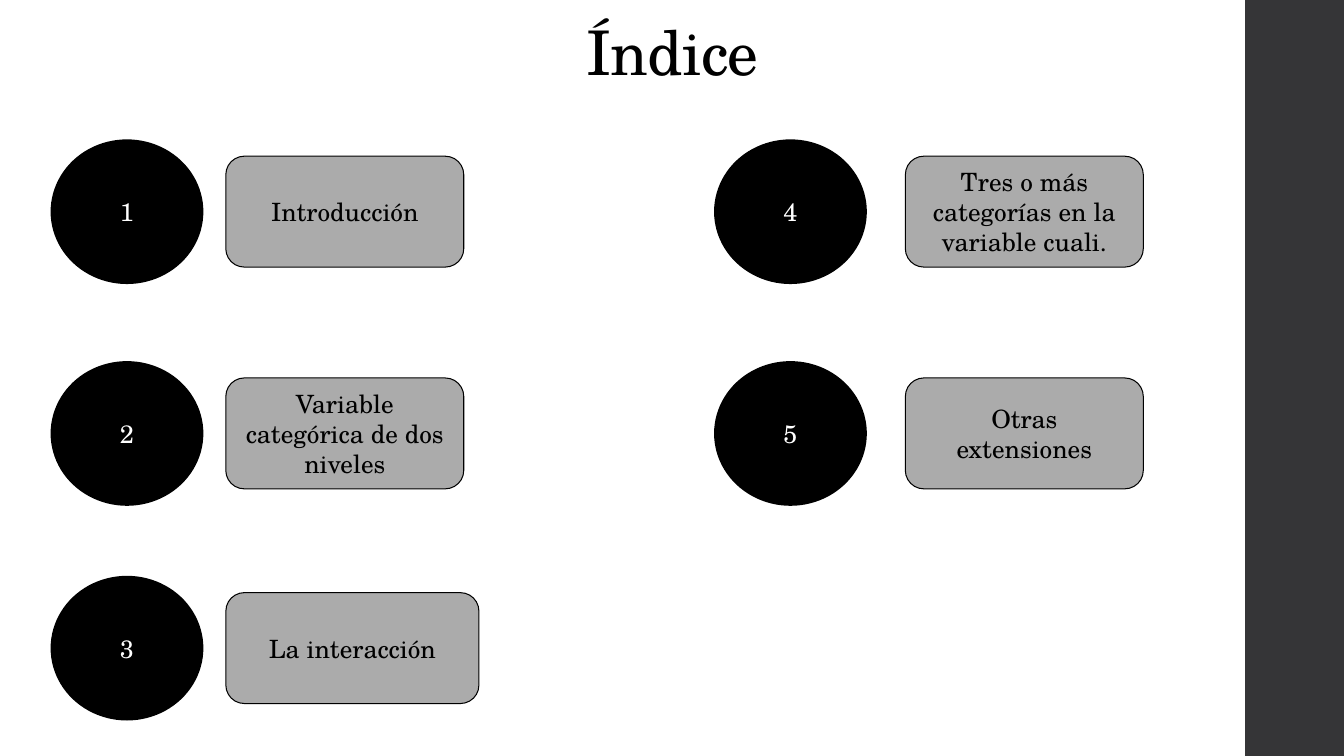
"""Build the index slide: five numbered topics in two columns."""
from pptx import Presentation, util as u
from pptx.dml.color import RGBColor
from pptx.enum import shapes, text

BLACK = RGBColor(0x00, 0x00, 0x00)
WHITE = RGBColor(0xFF, 0xFF, 0xFF)
GREY = RGBColor(0xAB, 0xAB, 0xAB)
CHARCOAL = RGBColor(0x35, 0x35, 0x37)
FONT = "TeX Gyre Schola"
ROW_TOPS = (1.39, 3.59, 5.72)
COLUMNS = ((0.51, 2.24), (7.09, 8.98))
CIRCLE_WIDTH, CIRCLE_HEIGHT = 1.5, 1.42
LABEL_WIDTH, WIDE_LABEL_WIDTH, LABEL_HEIGHT = 2.36, 2.51, 1.1
TOPICS = (
    "Introducción",
    "Variable categórica de dos niveles",
    "La interacción",
    "Tres o más categorías en la variable cuali.",
    "Otras extensiones",
)


def write(shape, words, size, color, anchor):
    frame = shape.text_frame
    frame.word_wrap = True
    frame.auto_size = text.MSO_AUTO_SIZE.NONE
    frame.vertical_anchor = anchor
    paragraph = frame.paragraphs[0]
    paragraph.alignment = text.PP_ALIGN.CENTER
    run = paragraph.add_run()
    run.text = words
    run.font.color.rgb = color
    for name, value in {"name": FONT, "size": u.Pt(size)}.items():
        setattr(run.font, name, value)
    return paragraph


def add_box(kind, box, fill, line=None, weight=0.75):
    shape = slide.shapes.add_shape(kind, *map(u.Inches, box))
    shape.shadow.inherit = False
    shape.fill.solid()
    shape.fill.fore_color.rgb = fill
    if line is None:
        shape.line.fill.background()
    else:
        shape.line.color.rgb = line
        shape.line.width = u.Pt(weight)
    return shape


deck = Presentation()
deck.slide_width, deck.slide_height = u.Inches(13.33), u.Inches(7.5)
slide = deck.slides.add_slide(deck.slide_layouts[5])

add_box(shapes.MSO_SHAPE.RECTANGLE, (12.35, 0, 1, 7.5), CHARCOAL)

title = slide.shapes.title
place = {"left": 1.37, "top": 0, "width": 10.6, "height": 0.93}
for side, length in place.items():
    setattr(title, side, u.Inches(length))
heading = write(title, "Índice", 44, BLACK, text.MSO_ANCHOR.BOTTOM)
heading.line_spacing = 0.9
heading.runs[0].font._element.set("spc", "-50")

for index, topic in enumerate(TOPICS):
    column, row = divmod(index, len(ROW_TOPS))
    circle_left, label_left = COLUMNS[column]
    top = ROW_TOPS[row]
    circle = add_box(shapes.MSO_SHAPE.OVAL,
                     (circle_left, top, CIRCLE_WIDTH, CIRCLE_HEIGHT),
                     BLACK, BLACK, 1.1)
    write(circle, str(index + 1), 18, WHITE, text.MSO_ANCHOR.MIDDLE)

    label_top = top + (CIRCLE_HEIGHT - LABEL_HEIGHT) / 2
    label_width = WIDE_LABEL_WIDTH if row == 2 else LABEL_WIDTH
    label = add_box(shapes.MSO_SHAPE.ROUNDED_RECTANGLE,
                    (label_left, label_top, label_width, LABEL_HEIGHT),
                    GREY, BLACK)
    write(label, topic, 18, BLACK, text.MSO_ANCHOR.MIDDLE)

deck.save("out.pptx")
